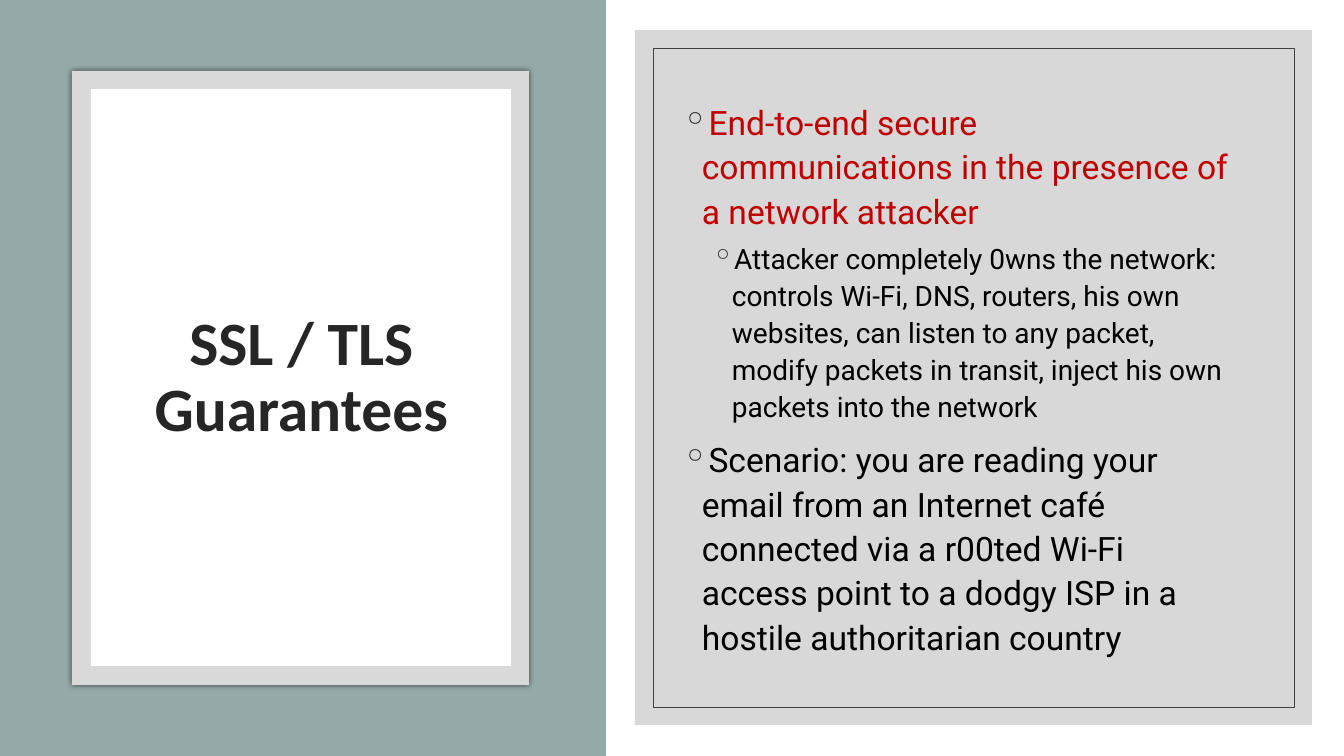
from lxml import etree
from pptx import Presentation
from pptx.dml.color import RGBColor
from pptx.enum.shapes import MSO_SHAPE
from pptx.enum.text import MSO_ANCHOR, PP_ALIGN
from pptx.oxml.ns import qn
from pptx.util import Emu, Pt

EMU_PER_PX = 914400 / 100.8
WHITE = RGBColor(0xFF, 0xFF, 0xFF)
SAGE = RGBColor(0x96, 0xA9, 0xA9)
LIGHT_GREY = RGBColor(0xD9, 0xD9, 0xD9)
MID_GREY = RGBColor(0xBF, 0xBF, 0xBF)
FRAME_GREY = RGBColor(0x40, 0x40, 0x40)
CHARCOAL = RGBColor(0x26, 0x26, 0x26)
RED = RGBColor(0xC0, 0x00, 0x00)
BLACK = RGBColor(0x00, 0x00, 0x00)


def px(*lengths):
    return [Emu(round(length * EMU_PER_PX)) for length in lengths]


def add_panel(box, fill=None):
    panel = slide.shapes.add_shape(MSO_SHAPE.RECTANGLE, *px(*box))
    panel.shadow.inherit = False
    panel.line.fill.background()
    if fill is None:
        panel.fill.background()
    else:
        panel.fill.solid()
        panel.fill.fore_color.rgb = fill
    return panel


prs = Presentation()
prs.slide_width, prs.slide_height = px(1344, 756)
slide = prs.slides.add_slide(prs.slide_layouts[6])

add_panel((0, 0, 1344, 756), WHITE)
add_panel((0, 0, 606, 756), SAGE)
title_mount = add_panel((72, 71, 457, 614), LIGHT_GREY)
add_panel((91, 89, 420, 577), WHITE)

glow = etree.SubElement(
    title_mount._element.spPr.find(qn("a:effectLst")), qn("a:outerShdw"),
    blurRad=str(Pt(4)), dist="0", dir="0", algn="ctr", rotWithShape="0")
glow_color = etree.SubElement(glow, qn("a:srgbClr"), val=str(BLACK))
etree.SubElement(glow_color, qn("a:alpha"), val="66000")

title = slide.shapes.add_textbox(*px(109, 131, 385, 495)).text_frame
title.word_wrap = True
title.vertical_anchor = MSO_ANCHOR.MIDDLE
title.text = "SSL / TLS Guarantees"
heading = title.paragraphs[0]
heading.alignment = PP_ALIGN.CENTER
heading.line_spacing = 0.9
heading.font.name = "Calibri"
heading.font.size = Pt(44)
heading.font.bold = True
heading.font.color.rgb = CHARCOAL

guarantees_panel = add_panel((635, 30, 677, 695), MID_GREY)
panel_color = guarantees_panel._element.spPr.find(qn("a:solidFill"))[0]
etree.SubElement(panel_color, qn("a:alpha"), val="60000")
frame = add_panel((653, 48, 641, 659))
frame.line.color.rgb = FRAME_GREY
frame.line.width = Pt(0.5)

guarantees = slide.shapes.add_textbox(*px(672, 103, 571, 549)).text_frame
guarantees.word_wrap = True
guarantees.vertical_anchor = MSO_ANCHOR.MIDDLE

LEVELS = [(20, 24, 9), (50, 20, 5)]
POINTS = [
    (0, RED, "End-to-end secure communications in the presence of a network "
             "attacker"),
    (1, BLACK, "Attacker completely 0wns the network: controls Wi-Fi, DNS, "
               "routers, his own websites, can listen to any packet, modify "
               "packets in transit, inject his own packets into the network"),
    (0, BLACK, "Scenario: you are reading your email from an Internet café "
               "connected via a r00ted Wi-Fi access point to a dodgy ISP in a "
               "hostile authoritarian country"),
]
for index, (level, color, wording) in enumerate(POINTS):
    indent, size, space_before = LEVELS[level]
    point = guarantees.add_paragraph() if index else guarantees.paragraphs[0]
    point.text = wording
    point.level = level
    point.line_spacing = 1.1
    point.space_before = Pt(space_before if index else 0)
    margin, hang = px(indent, -20)
    props = point._p.get_or_add_pPr()
    props.set("marL", str(margin))
    props.set("indent", str(hang))
    bullet_color = etree.SubElement(props, qn("a:buClr"))
    etree.SubElement(bullet_color, qn("a:srgbClr"), val=str(CHARCOAL))
    etree.SubElement(props, qn("a:buChar"), char="◦")
    point.font.name = "Roboto"
    point.font.size = Pt(size)
    point.font.color.rgb = color

prs.save("out.pptx")
